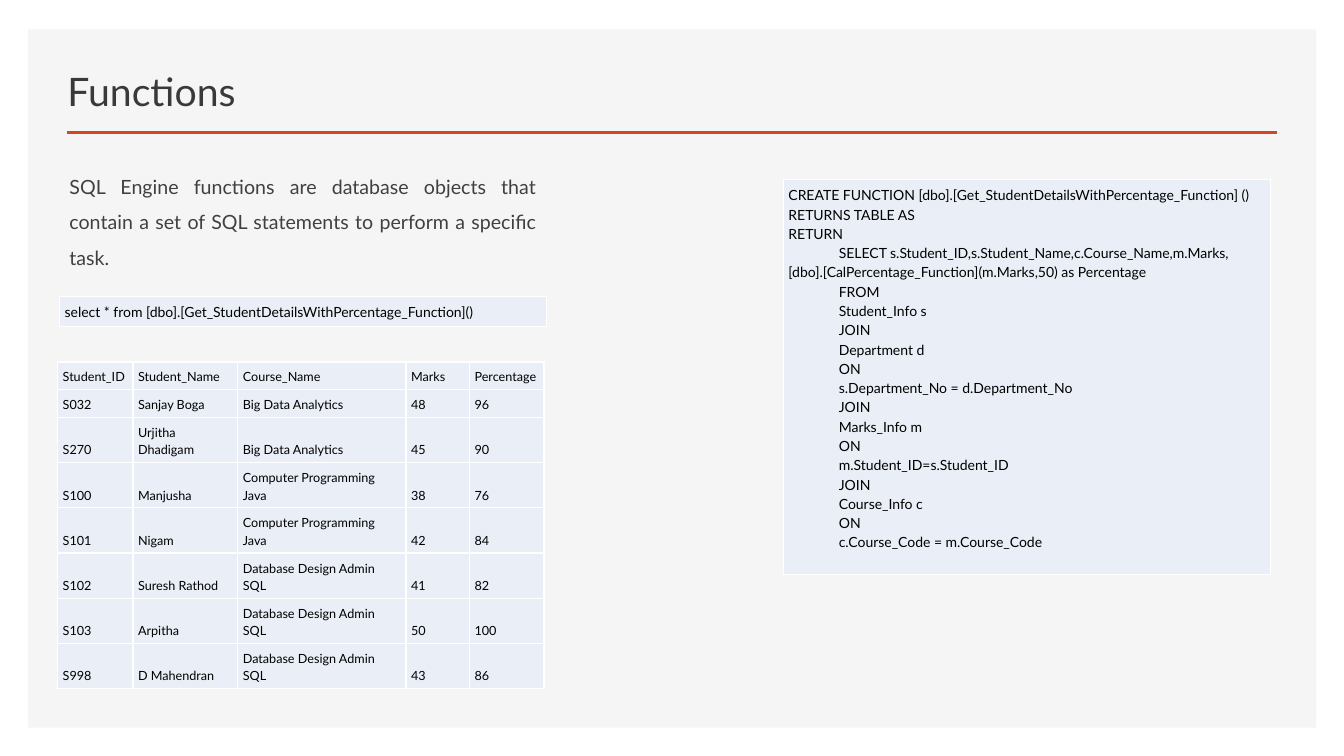
from lxml.etree import SubElement as Sub
from pptx import Presentation
from pptx.dml.color import RGBColor
from pptx.enum.shapes import MSO_CONNECTOR as Conn, MSO_SHAPE as Geo
from pptx.enum.text import MSO_ANCHOR as Anchor, PP_ALIGN as Align
from pptx.oxml.ns import qn
from pptx.util import Cm, Pt


def paint(item, color):
    item.solid()
    item.fore_color.rgb = RGBColor.from_string(color)


def style(para, size, color):
    for run in para.runs:
        run.font.name = "Lato"
        run.font.size = Pt(size)
        paint(run.font.fill, color)


deck = Presentation()
deck.slide_width, deck.slide_height = Cm(33.87), Cm(19.05)
slide = deck.slides.add_slide(deck.slide_layouts[6])
shapes = slide.shapes

# Grey panel and rule under the title
panel = shapes.add_shape(Geo.RECTANGLE, Cm(0.71), Cm(0.74), Cm(32.46), Cm(17.6))
panel.shadow.inherit = False
paint(panel.fill, "F5F5F5")
panel.line.fill.background()

rule = shapes.add_connector(Conn.STRAIGHT, Cm(1.68), Cm(3.33), Cm(32.18), Cm(3.33))
paint(rule.line.fill, "D24726")
rule.line.width = Pt(2)
Sub(rule._element.spPr, qn("a:effectLst"))

# Title and introduction
intro = ("SQL Engine functions are database objects that contain "
         "a set of SQL statements to perform a specific task.")
texts = [
    ("Functions", (1.45, 1.24, 19.1, 1.78), 28, "3B3838"),
    (intro, (1.5, 3.99, 12.27, 11.05), 14, "404040"),
]
paras = []
for words, place, size, color in texts:
    frame = shapes.add_textbox(*[Cm(n) for n in place]).text_frame
    frame.word_wrap = True
    frame.text = words
    style(frame.paragraphs[0], size, color)
    paras.append(frame.paragraphs[0])
    if words == "Functions":
        frame.vertical_anchor = Anchor.BOTTOM
body = paras[1]
body.alignment = Align.JUSTIFY
body.line_spacing = 1.5
body.space_before, body.space_after = Pt(10), Pt(12)

# Table contents
code = """CREATE FUNCTION [dbo].[Get_StudentDetailsWithPercentage_Function] ()
RETURNS TABLE AS
RETURN
\tSELECT s.Student_ID,s.Student_Name,c.Course_Name,m.Marks, [dbo].[CalPercentage_Function](m.Marks,50) as Percentage
\tFROM
\tStudent_Info s
\tJOIN
\tDepartment d
\tON
\ts.Department_No = d.Department_No
\tJOIN
\tMarks_Info m
\tON
\tm.Student_ID=s.Student_ID
\tJOIN
\tCourse_Info c
\tON
\tc.Course_Code = m.Course_Code"""
query = "select * from [dbo].[Get_StudentDetailsWithPercentage_Function]()"
marks = [
    ("Student_ID", "Student_Name", "Course_Name", "Marks", "Percentage"),
    ("S032", "Sanjay Boga", "Big Data Analytics", "48", "96"),
    ("S270", "Urjitha Dhadigam", "Big Data Analytics", "45", "90"),
    ("S100", "Manjusha", "Computer Programming Java", "38", "76"),
    ("S101", "Nigam", "Computer Programming Java", "42", "84"),
    ("S102", "Suresh Rathod", "Database Design Admin SQL", "41", "82"),
    ("S103", "Arpitha", "Database Design Admin SQL", "50", "100"),
    ("S998", "D Mahendran", "Database Design Admin SQL", "43", "86"),
]

# Tables: left, top, column widths, row heights, font size, anchor, rows
tables = [
    (19.74, 4.52, [12.27], [9.96], 10, Anchor.TOP, [(code,)]),
    (1.5, 7.47, [12.27], [0.7], 10, Anchor.TOP, [(query,)]),
    (1.45, 9.12, [1.9, 2.64, 4.24, 1.6, 1.88], [0.69] * 2 + [1.13] * 6,
     9, Anchor.BOTTOM, marks),
]
for left, top, wides, highs, size, anchor, rows in tables:
    grid = shapes.add_table(len(highs), len(wides), Cm(left), Cm(top),
                            Cm(sum(wides)), Cm(sum(highs))).table
    grid.first_row = grid.horz_banding = False
    for col, wide in zip(grid.columns, wides):
        col.width = Cm(wide)
    for row, high, values in zip(grid.rows, highs, rows):
        row.height = Cm(high)
        for cell, value in zip(row.cells, values):
            cell.text_frame.text = value
            cell.vertical_anchor = anchor
            cell.margin_left = cell.margin_right = Cm(0.13)
            cell.margin_top = cell.margin_bottom = Cm(0.13)
            for para in cell.text_frame.paragraphs:
                para.line_spacing = 1.15
                style(para, size, "000000")
            # White borders go ahead of the cell fill
            props = cell._tc.get_or_add_tcPr()
            for side in ("lnL", "lnR", "lnT", "lnB"):
                edge = Sub(props, qn("a:" + side), w=str(Pt(1)))
                Sub(Sub(edge, qn("a:solidFill")), qn("a:srgbClr"), val="FFFFFF")
            paint(cell.fill, "EAEFF7")

deck.save("out.pptx")
